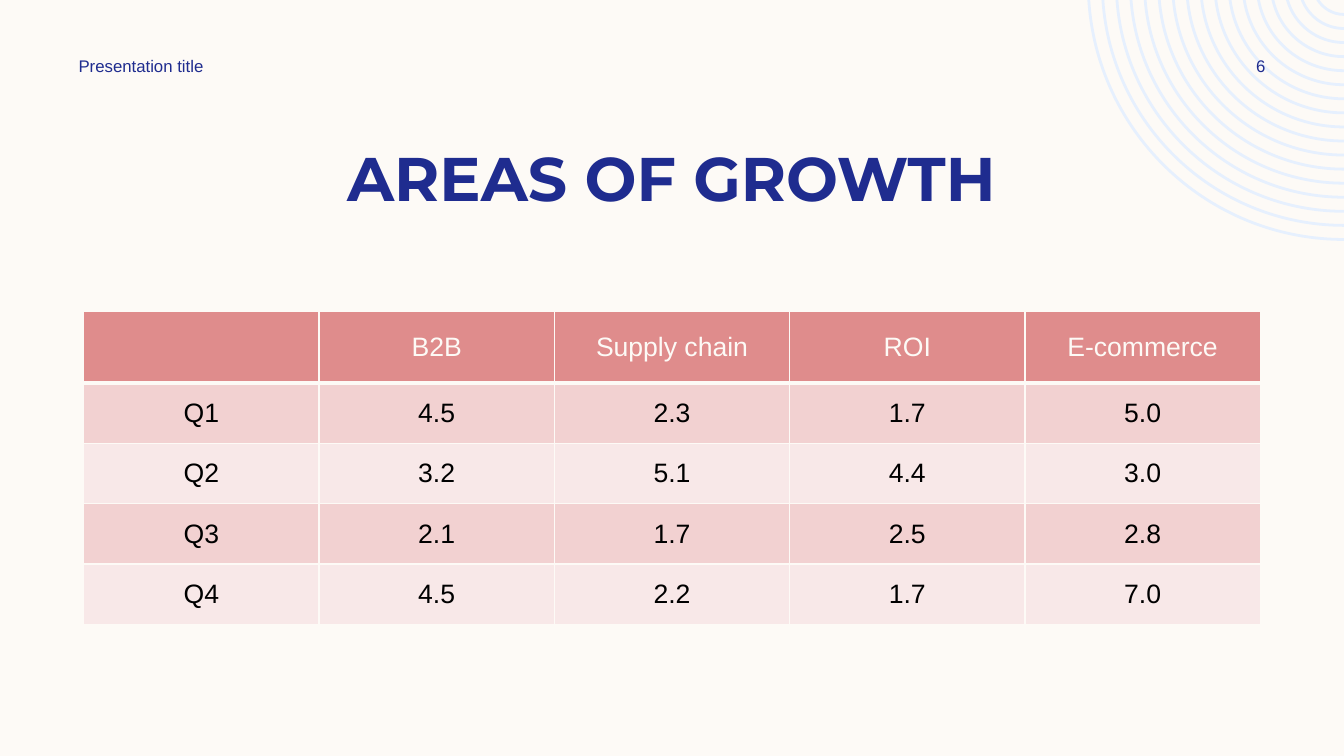
"""Build the areas of growth slide with its quarterly table."""
import math

from lxml import etree
from pptx import Presentation
from pptx import util as u
from pptx.dml.color import RGBColor
from pptx.enum import text
from pptx.oxml.ns import qn

NAVY, CREAM, SKY = "1F2C8F", "FDFAF6", "E6F0FE"
HEADER, BANDS, BLACK = "DF8C8C", ("F2D1D1", "F8E8E8"), "000000"
LEFT, CENTER = text.PP_ALIGN.LEFT, text.PP_ALIGN.CENTER
ROWS = [
    ["", "B2B", "Supply chain", "ROI", "E-commerce"],
    ["Q1", "4.5", "2.3", "1.7", "5.0"],
    ["Q2", "3.2", "5.1", "4.4", "3.0"],
    ["Q3", "2.1", "1.7", "2.5", "2.8"],
    ["Q4", "4.5", "2.2", "1.7", "7.0"],
]


def paint(fill, color):
    fill.solid()
    fill.fore_color.rgb = RGBColor.from_string(color)


def write(frame, words, size=12, font="Arial", color=NAVY, bold=False, align=LEFT):
    para = frame.paragraphs[0]
    para.alignment = align
    span = para.add_run()
    span.text = words
    span.font.size = u.Pt(size)
    span.font.name = font
    span.font.bold = bold
    paint(span.font.fill, color)


def add_border(cell, side, width):
    line = etree.SubElement(cell._tc.get_or_add_tcPr(), qn(f"a:ln{side}"), w=str(u.Pt(width)))
    fill = etree.SubElement(line, qn("a:solidFill"))
    etree.SubElement(fill, qn("a:srgbClr"), val=CREAM)


def arc_points(x, y, radius):
    start = math.asin(-y / radius)
    handle = radius * 4 / 3 * math.tan((math.pi / 2 - start) / 4)
    left, bottom = x - radius * math.cos(start), y + radius * math.sin(start)
    curve = [
        (left, bottom),
        (left + handle * math.sin(start), bottom + handle * math.cos(start)),
        (x - handle, y + radius),
        (x, y + radius),
    ]
    return [(u.Cm(across), u.Cm(down)) for across, down in curve]


def bend(segment, handles, shape):
    segment.tag = qn("a:cubicBezTo")
    for place, (across, down) in enumerate(handles):
        point = etree.Element(qn("a:pt"), x=str(across - shape.left), y=str(down - shape.top))
        segment.insert(place, point)


class GrowthSlide:
    def __init__(self, deck):
        self.page = deck.slides.add_slide(deck.slide_layouts[5])
        paint(self.page.background.fill, CREAM)

    def rings(self, x, y, smallest, largest, count, thickness):
        builder, curves = None, []
        for ring in range(count):
            radius = smallest + (largest - smallest) * ring / (count - 1)
            outer = arc_points(x, y, radius)
            inner = arc_points(x, y, radius - thickness)[::-1]
            if builder is None:
                builder = self.page.shapes.build_freeform(*outer[0])
            else:
                builder.move_to(*outer[0])
            builder.add_line_segments([outer[3], inner[0], inner[3]], close=True)
            curves += [outer[1:3], None, inner[1:3]]
        shape = builder.convert_to_shape()
        for segment, handles in zip(list(shape._element.iter(qn("a:lnTo"))), curves):
            if handles:
                bend(segment, handles, shape)
        shape.shadow.inherit = False
        paint(shape.fill, SKY)
        shape.line.fill.background()
        self.page.shapes._spTree.insert(2, shape._element)

    def title(self, words, left, top, width, height):
        box = self.page.shapes.title
        box.left, box.top, box.width, box.height = map(u.Cm, (left, top, width, height))
        box.text_frame.auto_size = text.MSO_AUTO_SIZE.NONE
        box.text_frame.vertical_anchor = text.MSO_ANCHOR.MIDDLE
        write(box.text_frame, words, size=44, font="Montserrat", bold=True, align=CENTER)

    def label(self, words, left, top, width, height, align=LEFT):
        box = self.page.shapes.add_textbox(*map(u.Cm, (left, top, width, height)))
        box.text_frame.word_wrap = True
        box.text_frame.vertical_anchor = text.MSO_ANCHOR.MIDDLE
        write(box.text_frame, words, align=align)

    def table(self, rows, left, top, column_width, header_height, row_height):
        columns = len(rows[0])
        height = header_height + row_height * (len(rows) - 1)
        table = self.page.shapes.add_table(
            len(rows), columns, *map(u.Cm, (left, top, column_width * columns, height))
        ).table
        for column in table.columns:
            column.width = u.Cm(column_width)
        for r, values in enumerate(rows):
            table.rows[r].height = u.Cm(row_height if r else header_height)
            for c, value in enumerate(values):
                cell = table.cell(r, c)
                cell.margin_left = cell.margin_right = u.Cm(0.28)
                cell.margin_top = cell.margin_bottom = u.Cm(0.13)
                cell.vertical_anchor = text.MSO_ANCHOR.MIDDLE
                for side in "LRTB":
                    heavy = (r, side) in ((0, "B"), (1, "T"))
                    add_border(cell, side, 3 if heavy else 1)
                paint(cell.fill, BANDS[(r - 1) % 2] if r else HEADER)
                if value:
                    write(cell.text_frame, value, size=19, color=BLACK if r else CREAM, align=CENTER)


def main():
    deck = Presentation()
    deck.slide_width, deck.slide_height = u.Cm(33.87), u.Cm(19.05)
    slide = GrowthSlide(deck)
    slide.rings(33.87, -0.41, smallest=0.81, largest=6.48, count=17, thickness=0.07)
    slide.title("AREAS OF GROWTH", 2.1, 3.38, 29.65, 2.13)
    slide.table(ROWS, 2.11, 7.85, column_width=5.93, header_height=1.8, row_height=1.52)
    slide.label("Presentation title", 1.73, 1.27, 8.9, 0.76)
    slide.label("6", 30.4, 1.27, 2.75, 0.76, align=CENTER)
    deck.save("out.pptx")


if __name__ == "__main__":
    main()
